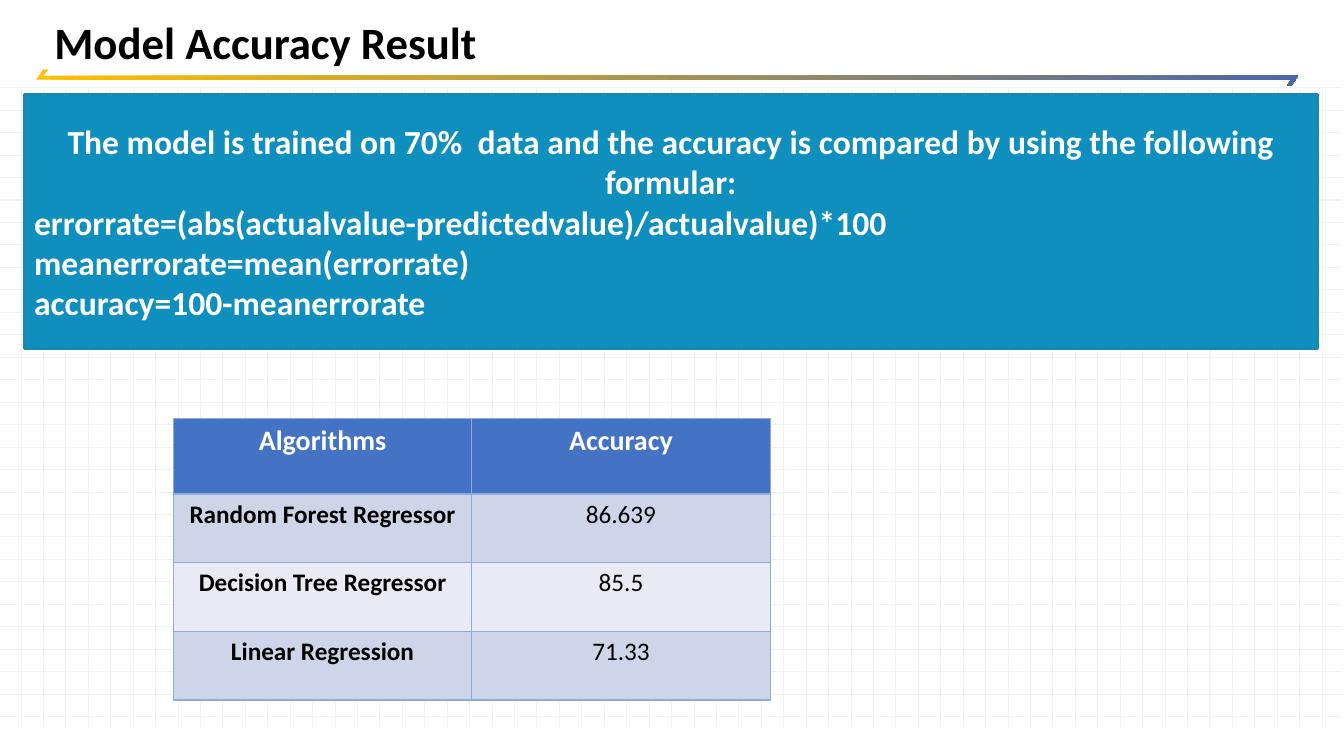
from lxml import etree
from pptx import Presentation
from pptx.dml.color import RGBColor
from pptx.enum.shapes import MSO_CONNECTOR, MSO_SHAPE
from pptx.enum.text import MSO_ANCHOR, PP_ALIGN
from pptx.oxml.ns import qn
from pptx.util import Cm, Pt

STRAIGHT = MSO_CONNECTOR.STRAIGHT
RECTANGLE = MSO_SHAPE.RECTANGLE
BOTTOM, MIDDLE = MSO_ANCHOR.BOTTOM, MSO_ANCHOR.MIDDLE
LEFT, CENTER = PP_ALIGN.LEFT, PP_ALIGN.CENTER

FONT = "Calibri"
BLACK, WHITE = "000000", "FFFFFF"
GRID, GOLD, INDIGO = "F2F2F2", "FFC000", "4A66AC"
BANNER, BANNER_EDGE = "0E8FBE", "1888B1"
HEADER, BANDS, BORDER = "4472C4", ("E8EBF4", "CFD5E9"), "8FAADC"

COLUMNS, ROWS = 59, 29
RULE_POINTS = [
    (1.09, 1.75), (1.22, 1.75), (1.09, 1.91), (32.72, 1.91),
    (32.54, 2.16), (32.44, 2.16), (32.54, 2.01), (0.91, 2.01),
]
FORMULAS = [
    "The model is trained on 70%  data and the accuracy is compared by using the following formular:",
    "errorrate=(abs(actualvalue-predictedvalue)/actualvalue)*100",
    "meanerrorate=mean(errorrate)",
    "accuracy=100-meanerrorate",
]
RESULTS = [
    ("Algorithms", "Accuracy"),
    ("Random Forest Regressor", "86.639"),
    ("Decision Tree Regressor", "85.5"),
    ("Linear Regression", "71.33"),
]


def rgb(color):
    """Return the colour for a hex string."""
    return RGBColor.from_string(color)


def format_paragraph(p, size, color, bold=True, align=LEFT):
    """Align a paragraph and style its runs."""
    p.alignment = align
    for r in p.runs:
        r.font.name = FONT
        r.font.size = Pt(size)
        r.font.bold = bold
        r.font.color.rgb = rgb(color)


def add_line(s, x1, y1, x2, y2):
    """Draw one thin grid line between two points in centimetres."""
    sp = s.shapes.add_connector(STRAIGHT, Cm(x1), Cm(y1), Cm(x2), Cm(y2))
    sp.line.color.rgb = rgb(GRID)
    sp.line.width = Pt(0.75)
    etree.SubElement(sp._element.spPr, qn("a:effectLst"))


def add_grid(s):
    """Draw the squared-paper background."""
    left, right, top, bottom = 0.53, 33.32, 2.21, 18.06
    for i in range(COLUMNS):
        x = left + i * (right - left) / (COLUMNS - 1)
        add_line(s, x, 2.24, x, 18.31)
    for i in range(ROWS):
        y = top + i * (bottom - top) / (ROWS - 1)
        add_line(s, 33.83, y, 0, y)


def add_title_rule(s):
    """Draw the gradient rule with hooked ends below the title."""
    points = [(Cm(x), Cm(y)) for x, y in RULE_POINTS]
    builder = s.shapes.build_freeform(*points[0])
    builder.add_line_segments(points[1:], close=True)
    sp = builder.convert_to_shape()
    sp.shadow.inherit = False
    sp.line.fill.background()
    sp.fill.gradient()
    sp.fill.gradient_angle = 0
    for i, color in enumerate((GOLD, INDIGO)):
        stop = sp.fill.gradient_stops[i]
        stop.position = i
        stop.color.rgb = rgb(color)


def add_title(s, text):
    """Add the slide heading."""
    sp = s.shapes.add_textbox(Cm(1.12), Cm(0), Cm(31.6), Cm(1.88))
    tf = sp.text_frame
    tf.word_wrap = True
    tf.vertical_anchor = BOTTOM
    tf.text = text
    p = tf.paragraphs[0]
    p.line_spacing = 0.9
    format_paragraph(p, 32, BLACK)


def add_banner(s, lines):
    """Add the blue panel: a centred introduction, then formulas."""
    sp = s.shapes.add_shape(RECTANGLE, Cm(0.61), Cm(2.39), Cm(32.59), Cm(6.4))
    sp.shadow.inherit = False
    sp.fill.solid()
    sp.fill.fore_color.rgb = rgb(BANNER)
    sp.line.color.rgb = rgb(BANNER_EDGE)
    sp.line.width = Pt(2)
    tf = sp.text_frame
    tf.word_wrap = True
    tf.vertical_anchor = MIDDLE
    tf.text = "\n".join(lines)
    for i, p in enumerate(tf.paragraphs):
        format_paragraph(p, 24, WHITE, align=LEFT if i else CENTER)


def set_borders(cell):
    """Outline all four sides of a table cell."""
    tc_pr = cell._tc.get_or_add_tcPr()
    for side in ("a:lnL", "a:lnR", "a:lnT", "a:lnB"):
        ln = etree.SubElement(tc_pr, qn(side), w=str(Pt(0.96)))
        fill = etree.SubElement(ln, qn("a:solidFill"))
        etree.SubElement(fill, qn("a:srgbClr"), val=BORDER)


def add_results(s, rows):
    """Add the accuracy table with a header and banded rows."""
    header_height, row_height, col_width = 1.91, 1.73, 7.52
    height = header_height + row_height * (len(rows) - 1)
    table = s.shapes.add_table(
        len(rows), 2, Cm(4.37), Cm(10.54), Cm(2 * col_width), Cm(height)
    ).table
    for column in table.columns:
        column.width = Cm(col_width)
    for i, values in enumerate(rows):
        table.rows[i].height = Cm(row_height if i else header_height)
        for j, value in enumerate(values):
            cell = table.cell(i, j)
            set_borders(cell)
            cell.fill.solid()
            cell.fill.fore_color.rgb = rgb(BANDS[i % 2] if i else HEADER)
            cell.text_frame.text = value
            format_paragraph(
                cell.text_frame.paragraphs[0],
                18 if i else 20,
                BLACK if i else WHITE,
                bold=i == 0 or j == 0,
                align=CENTER,
            )


def main():
    """Build and save the slide."""
    prs = Presentation()
    prs.slide_width, prs.slide_height = Cm(33.87), Cm(19.05)
    s = prs.slides.add_slide(prs.slide_layouts[6])
    add_grid(s)
    add_title_rule(s)
    add_title(s, "Model Accuracy Result")
    add_results(s, RESULTS)
    add_banner(s, FORMULAS)
    prs.save("out.pptx")


if __name__ == "__main__":
    main()
